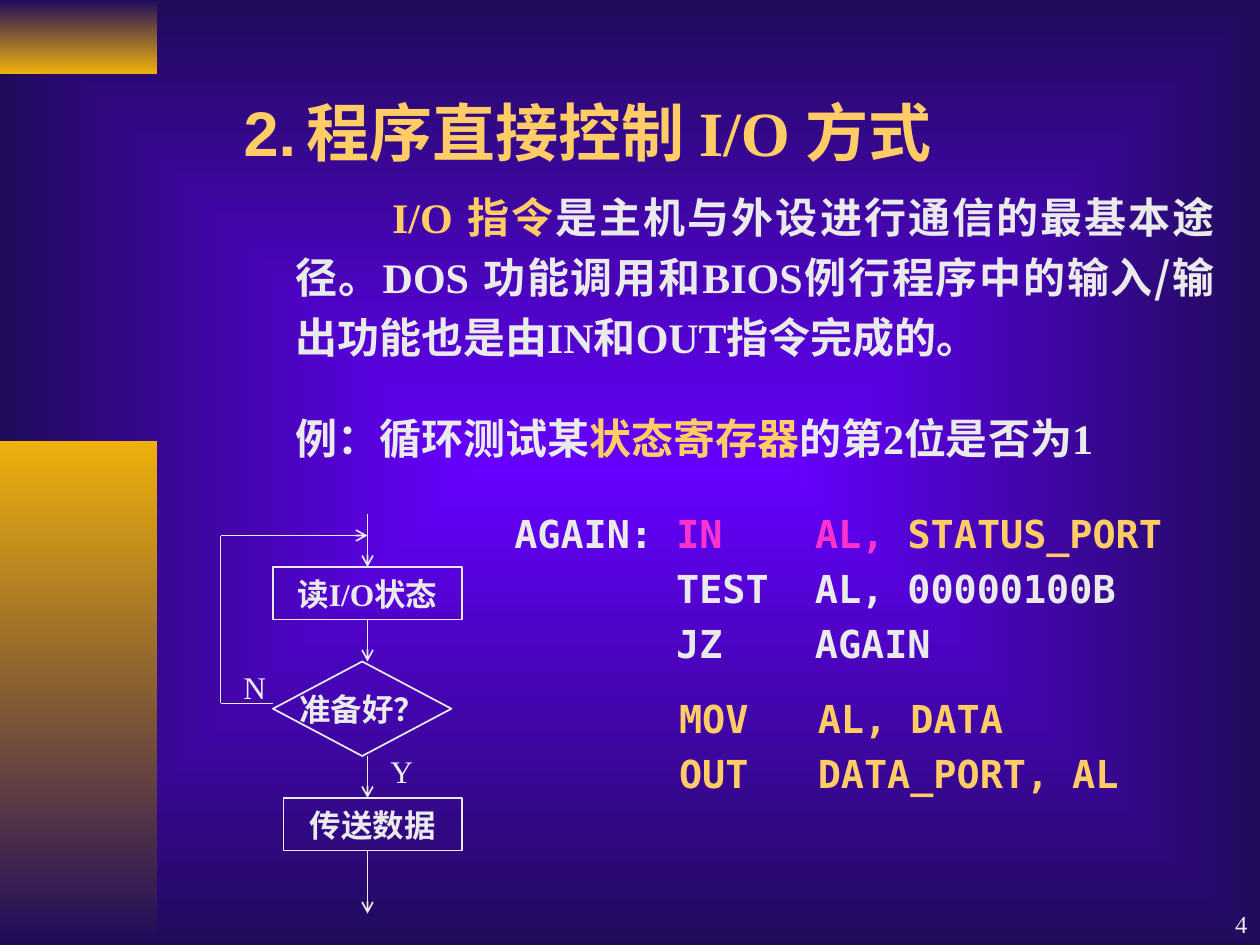
from lxml import etree
from pptx import Presentation
from pptx.dml.color import RGBColor
from pptx.enum.shapes import MSO_CONNECTOR, MSO_SHAPE
from pptx.enum.text import MSO_ANCHOR, MSO_AUTO_SIZE, PP_ALIGN
from pptx.oxml import parse_xml
from pptx.oxml.ns import nsdecls, qn
from pptx.util import Inches, Pt

STRAIGHT = MSO_CONNECTOR.STRAIGHT
RECTANGLE, DECISION = MSO_SHAPE.RECTANGLE, MSO_SHAPE.FLOWCHART_DECISION
TOP, MIDDLE, BOTTOM = MSO_ANCHOR.TOP, MSO_ANCHOR.MIDDLE, MSO_ANCHOR.BOTTOM
LEFT, CENTER, RIGHT = PP_ALIGN.LEFT, PP_ALIGN.CENTER, PP_ALIGN.RIGHT
JUSTIFY = PP_ALIGN.JUSTIFY
TOP_SITE, BOTTOM_SITE = 0, 2

COLORS = {"text": "EAEAEA", "gold": "FFCC66", "pink": "FF33CC",
          "navy": "200B5B", "violet": "6600FF", "amber": "EEB00B"}
SERIF, SANS, MONO = "Times New Roman", "Arial", "DejaVu Sans Mono"
CHINESE = "Noto Sans CJK SC"


def grid(cells):
    """Length of a number of grid cells, twelve to the inch."""
    return Inches(cells / 12)


def place(shape, box):
    shape.left, shape.top, shape.width, shape.height = map(grid, box)


def format_frame(shape, wrap=True, anchor=TOP):
    frame = shape.text_frame
    frame.auto_size = MSO_AUTO_SIZE.NONE
    frame.word_wrap = wrap
    frame.vertical_anchor = anchor
    return frame


def write_paragraph(paragraph, runs, size, spacing, align=LEFT, font=SERIF,
                    bold=True, before=0, margin=0, indent=0, tab=None):
    """Fill a paragraph with (text, color[, font]) runs."""
    paragraph.alignment = align
    paragraph.line_spacing = Pt(spacing)
    paragraph.space_before = Pt(before)
    properties = paragraph._p.get_or_add_pPr()
    properties.set("marL", str(Inches(margin)))
    properties.set("indent", str(Inches(indent)))
    etree.SubElement(properties, qn("a:buNone"))
    if tab:
        tabs = etree.SubElement(properties, qn("a:tabLst"))
        etree.SubElement(tabs, qn("a:tab"), pos=str(Inches(tab)), algn="l")
    for text, color, *own_font in runs:
        run = paragraph.add_run()
        run.text = text
        run.font.size = Pt(size)
        run.font.bold = bold
        run.font.name = own_font[0] if own_font else font
        run.font.color.rgb = RGBColor.from_string(COLORS[color])
        east_asian = etree.SubElement(run._r.get_or_add_rPr(), qn("a:ea"))
        east_asian.set("typeface", CHINESE)


def add_text(slide, box, text, size, spacing, align=LEFT, anchor=TOP):
    shape = slide.shapes.add_textbox(*map(grid, box))
    frame = format_frame(shape, anchor=anchor)
    write_paragraph(frame.paragraphs[0], [(text, "text")], size, spacing,
                    align, bold=False)


def paint_background(slide):
    slide.background.fill.solid()
    properties = slide.background._cSld.bg.bgPr
    properties.replace(properties[0], parse_xml(
        f'<a:gradFill {nsdecls("a")} rotWithShape="0"><a:gsLst>'
        f'<a:gs pos="0"><a:srgbClr val="{COLORS["violet"]}"/></a:gs>'
        f'<a:gs pos="100000"><a:srgbClr val="{COLORS["navy"]}"/></a:gs>'
        '</a:gsLst><a:path path="rect"><a:fillToRect l="50000" t="50000" '
        'r="50000" b="50000"/></a:path></a:gradFill>'))


def add_side_bar(slide, box, colors):
    bar = slide.shapes.add_shape(RECTANGLE, *map(grid, box))
    bar.shadow.inherit = False
    bar.line.fill.background()
    bar.fill.gradient()
    bar.fill.gradient_angle = 270
    for stop, color in zip(bar.fill.gradient_stops, colors):
        stop.color.rgb = RGBColor.from_string(COLORS[color])


def fill_title(title, box):
    place(title, box)
    frame = format_frame(title, wrap=False)
    write_paragraph(frame.paragraphs[0],
                    [("2.\t程序直接控制 ", "gold", SANS), ("I/O 方式", "gold")],
                    36, 45, tab=0.95)


def fill_body(body, box):
    place(body, box)
    frame = format_frame(body)
    # Prose
    write_paragraph(frame.paragraphs[0], [
        ("I/O 指令", "gold"),
        ("是主机与外设进行通信的最基本途径。DOS 功能调用和BIOS", "text"),
        ("例行程序中的输入/输出功能也是由", "text", CHINESE),
        ("IN和OUT指令完成的。", "text")], 24, 34.4, JUSTIFY, indent=0.77)
    write_paragraph(frame.add_paragraph(), [
        ("例：循环测试某", "text"), ("状态寄存器", "gold"),
        ("的第2位是否为1", "text")], 24, 34.4, JUSTIFY, before=23)
    # Polling loop
    code = [
        [("AGAIN: ", "text"), ("IN    AL, ", "pink"), ("STATUS_PORT", "gold")],
        [("       TEST  AL, 00000100B", "text")],
        [("       JZ    AGAIN", "text")]]
    add_code(frame, code, margin=1.74, before=22)


def add_code(frame, lines, margin, before=0):
    for index, runs in enumerate(lines):
        is_first = index == 0
        reuse = is_first and not frame.text
        paragraph = frame.paragraphs[0] if reuse else frame.add_paragraph()
        write_paragraph(paragraph, runs, 22, 31.4, JUSTIFY, MONO,
                        margin=margin, before=before if is_first else 0)


def add_transfer_code(slide, box):
    shape = slide.shapes.add_textbox(*map(grid, box))
    lines = [[("MOV   AL, DATA", "gold")], [("OUT   DATA_PORT, AL", "gold")]]
    add_code(format_frame(shape), lines, margin=1)


def add_step(slide, kind, box, text):
    step = slide.shapes.add_shape(kind, *map(grid, box))
    step.shadow.inherit = False
    step.fill.background()
    step.line.color.rgb = RGBColor.from_string(COLORS["text"])
    step.line.width = Pt(1)
    frame = format_frame(step, wrap=False, anchor=MIDDLE)
    write_paragraph(frame.paragraphs[0], [(text, "text")], 18, 22, CENTER)
    return step


def add_line(slide, start, end, arrow=True):
    line = slide.shapes.add_connector(STRAIGHT, *map(grid, (*start, *end)))
    line.line.color.rgb = RGBColor.from_string(COLORS["text"])
    line.line.width = Pt(1)
    if arrow:
        etree.SubElement(line.line._get_or_add_ln(), qn("a:tailEnd"), type="arrow")
    etree.SubElement(line._element.spPr, qn("a:effectLst"))
    return line


def add_flowchart(slide, left, top):
    spine, loop_row, exit_row = left + 14, top + 2, top + 18
    # Steps
    read = add_step(slide, RECTANGLE, (left + 5, top + 5, 18, 5), "读I/O状态")
    add_step(slide, DECISION, (left + 5, top + 14, 17, 9), "准备好？")
    add_step(slide, RECTANGLE, (left + 6, top + 27, 17, 5), "传送数据")
    # Downward flow
    spans = [(0, 5), (10, 14), (23, 27), (32, 38)]
    flow = [add_line(slide, (spine, top + start), (spine, top + end))
            for start, end in spans]
    flow[0].end_connect(read, TOP_SITE)
    flow[1].begin_connect(read, BOTTOM_SITE)
    # Loop back
    add_line(slide, (left, loop_row), (left, exit_row), arrow=False)
    add_line(slide, (left, loop_row), (spine, loop_row))
    add_line(slide, (left, exit_row), (left + 5, exit_row), arrow=False)
    # Branch labels
    add_text(slide, (left + 1, top + 14, 5, 4.8), "N", 18, 22)
    add_text(slide, (left + 15, top + 22, 6, 4.8), "Y", 18, 22)


def main():
    presentation = Presentation()
    presentation.slide_width, presentation.slide_height = grid(120), grid(90)
    slide = presentation.slides.add_slide(presentation.slide_layouts[1])
    paint_background(slide)
    add_side_bar(slide, (0, 0, 15, 7), ("navy", "amber"))
    add_side_bar(slide, (0, 42, 15, 48), ("amber", "navy"))
    fill_title(slide.shapes.title, (22, 8, 76.2, 8.4))
    fill_body(slide.placeholders[1], (26.9, 16.7, 90, 52.7))
    add_flowchart(slide, 21, 49)
    add_transfer_code(slide, (51.5, 64.8, 65, 11.8))
    add_text(slide, (95, 84, 25, 6), "4", 14, 17, RIGHT, BOTTOM)
    presentation.save("out.pptx")


if __name__ == "__main__":
    main()
